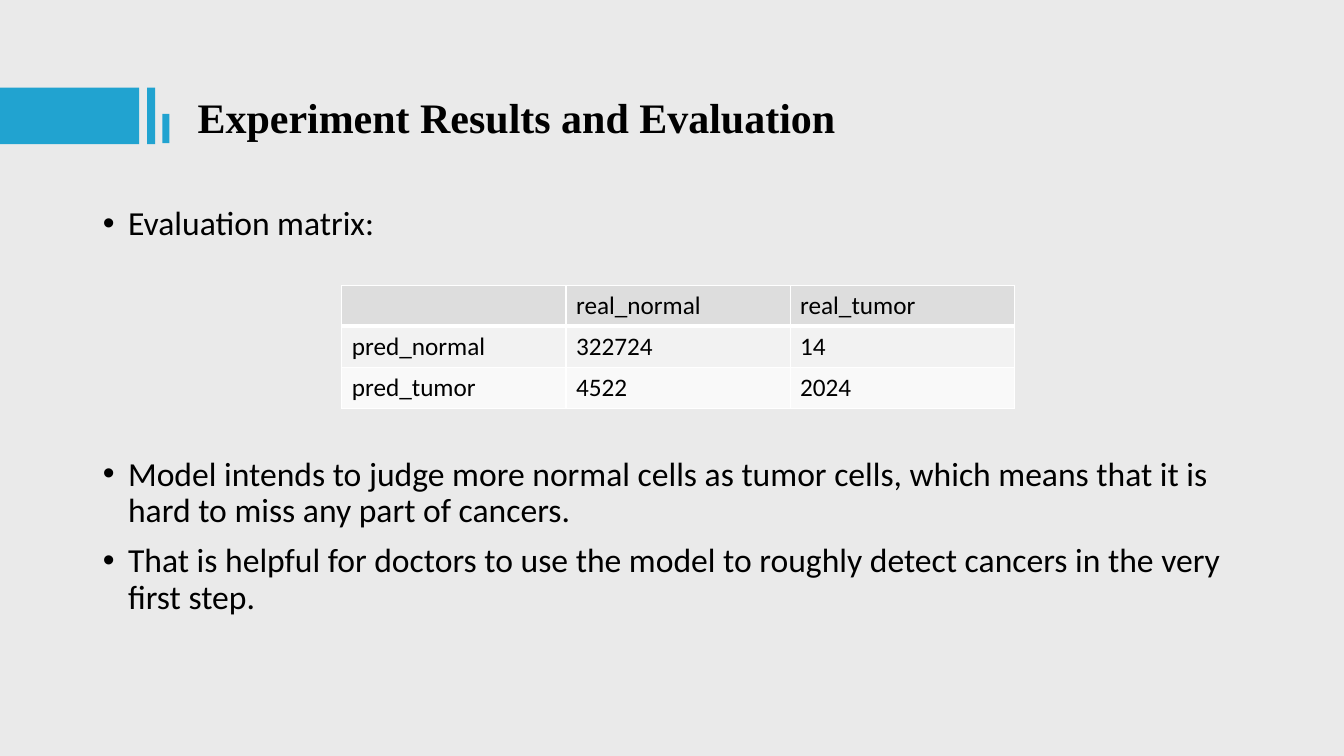
"""Build the slide on experiment results and their evaluation matrix."""
from dataclasses import dataclass

import lxml.etree
import pptx
import pptx.dml.color
import pptx.enum.shapes
import pptx.enum.text
import pptx.oxml.ns
import pptx.util

Inches = pptx.util.Inches
BLACK, WHITE, ACCENT, BACKGROUND = "000000", "FFFFFF", "21A3D0", "EAEAEA"


@dataclass
class Bar:
    """A solid bar beside the title, in inches."""
    left: float
    top: float
    width: float
    height: float


@dataclass
class Bullet:
    """A list entry and the space before it in points."""
    text: str
    space_before: float = 10


@dataclass
class MatrixRow:
    """A table row with its fill and border widths in points."""
    values: tuple[str, ...]
    fill: str
    top_border: float = 1
    bottom_border: float = 1


BARS = [Bar(0, 0.87, 1.38, 0.56), Bar(1.46, 0.87, 0.08, 0.56), Bar(1.61, 1.13, 0.07, 0.29)]
BULLETS = [
    Bullet("Evaluation matrix:"),
    Bullet("Model intends to judge more normal cells as tumor cells, "
           "which means that it is hard to miss any part of cancers.", 153),
    Bullet("That is helpful for doctors to use the model to roughly detect "
           "cancers in the very first step."),
]
MATRIX = [
    MatrixRow(("", "real_normal", "real_tumor"), "DDDDDD", bottom_border=3),
    MatrixRow(("pred_normal", "322724", "14"), "F2F2F2", top_border=3),
    MatrixRow(("pred_tumor", "4522", "2024"), "F9F9F9"),
]


def paint(fill, color: str) -> None:
    """Apply a solid colour to a fill."""
    fill.solid()
    fill.fore_color.rgb = pptx.dml.color.RGBColor.from_string(color)


def style_runs(paragraph, size: float, name: str = "Calibri", bold: bool = False) -> None:
    """Format every run of a paragraph."""
    for run in paragraph.runs:
        run.font.size = pptx.util.Pt(size)
        run.font.name = name
        run.font.bold = bold
        paint(run.font.fill, BLACK)


def place(shape, left: float, top: float, width: float, height: float) -> None:
    """Move and resize a placeholder, with its text set from the top."""
    shape.left, shape.top = Inches(left), Inches(top)
    shape.width, shape.height = Inches(width), Inches(height)
    shape.text_frame.vertical_anchor = pptx.enum.text.MSO_ANCHOR.TOP
    shape.text_frame.auto_size = pptx.enum.text.MSO_AUTO_SIZE.NONE
    shape.text_frame.word_wrap = True


def draw_bar(slide, bar: Bar) -> None:
    """Draw one accent bar."""
    shape = slide.shapes.add_shape(
        pptx.enum.shapes.MSO_SHAPE.RECTANGLE, Inches(bar.left), Inches(bar.top),
        Inches(bar.width), Inches(bar.height))
    shape.shadow.inherit = False
    paint(shape.fill, ACCENT)
    shape.line.fill.background()


def write_title(title) -> None:
    """Write the heading in the title placeholder."""
    place(title, 1.86, 0.86, 8.19, 0.61)
    title.text_frame.text = "Experiment Results and Evaluation"
    heading = title.text_frame.paragraphs[0]
    heading.alignment = pptx.enum.text.PP_ALIGN.LEFT
    style_runs(heading, 30, "Times New Roman", bold=True)


def write_bullets(body) -> None:
    """Write the findings in the body placeholder."""
    place(body, 0.92, 2, 11.5, 4.76)
    body.text_frame.text = "\n".join(bullet.text for bullet in BULLETS)
    for paragraph, bullet in zip(body.text_frame.paragraphs, BULLETS):
        paragraph.line_spacing = 0.9
        paragraph.space_before = pptx.util.Pt(bullet.space_before)
        properties = paragraph._p.get_or_add_pPr()
        properties.set("marL", str(Inches(0.25)))
        properties.set("indent", str(Inches(-0.25)))
        style_runs(paragraph, 24)


def add_borders(cell, row: MatrixRow) -> None:
    """Give a cell white borders of the widths of its row."""
    qn = pptx.oxml.ns.qn
    widths = {"lnL": 1, "lnR": 1, "lnT": row.top_border, "lnB": row.bottom_border}
    properties = cell._tc.get_or_add_tcPr()
    for position, (side, width) in enumerate(widths.items()):
        line = lxml.etree.Element(qn(f"a:{side}"), w=str(pptx.util.Pt(width)))
        solid = lxml.etree.SubElement(line, qn("a:solidFill"))
        lxml.etree.SubElement(solid, qn("a:srgbClr"), val=WHITE)
        properties.insert(position, line)


def draw_matrix(slide) -> None:
    """Draw the evaluation matrix as a table."""
    matrix = slide.shapes.add_table(
        len(MATRIX), len(MATRIX[0].values),
        Inches(3.39), Inches(2.83), Inches(6.67), Inches(1.22)).table
    matrix.first_row = matrix.horz_banding = False
    for row_index, row in enumerate(MATRIX):
        for column_index, value in enumerate(row.values):
            cell = matrix.cell(row_index, column_index)
            cell.text_frame.text = value
            style_runs(cell.text_frame.paragraphs[0], 18)
            paint(cell.fill, row.fill)
            add_borders(cell, row)


def main() -> None:
    """Build and save the presentation."""
    deck = pptx.Presentation()
    deck.slide_width, deck.slide_height = Inches(13.33), Inches(7.5)
    slide = deck.slides.add_slide(deck.slide_layouts[1])
    paint(slide.background.fill, BACKGROUND)
    write_title(slide.shapes.title)
    write_bullets(slide.placeholders[1])
    for bar in BARS:
        draw_bar(slide, bar)
    draw_matrix(slide)
    deck.save("out.pptx")


main()
